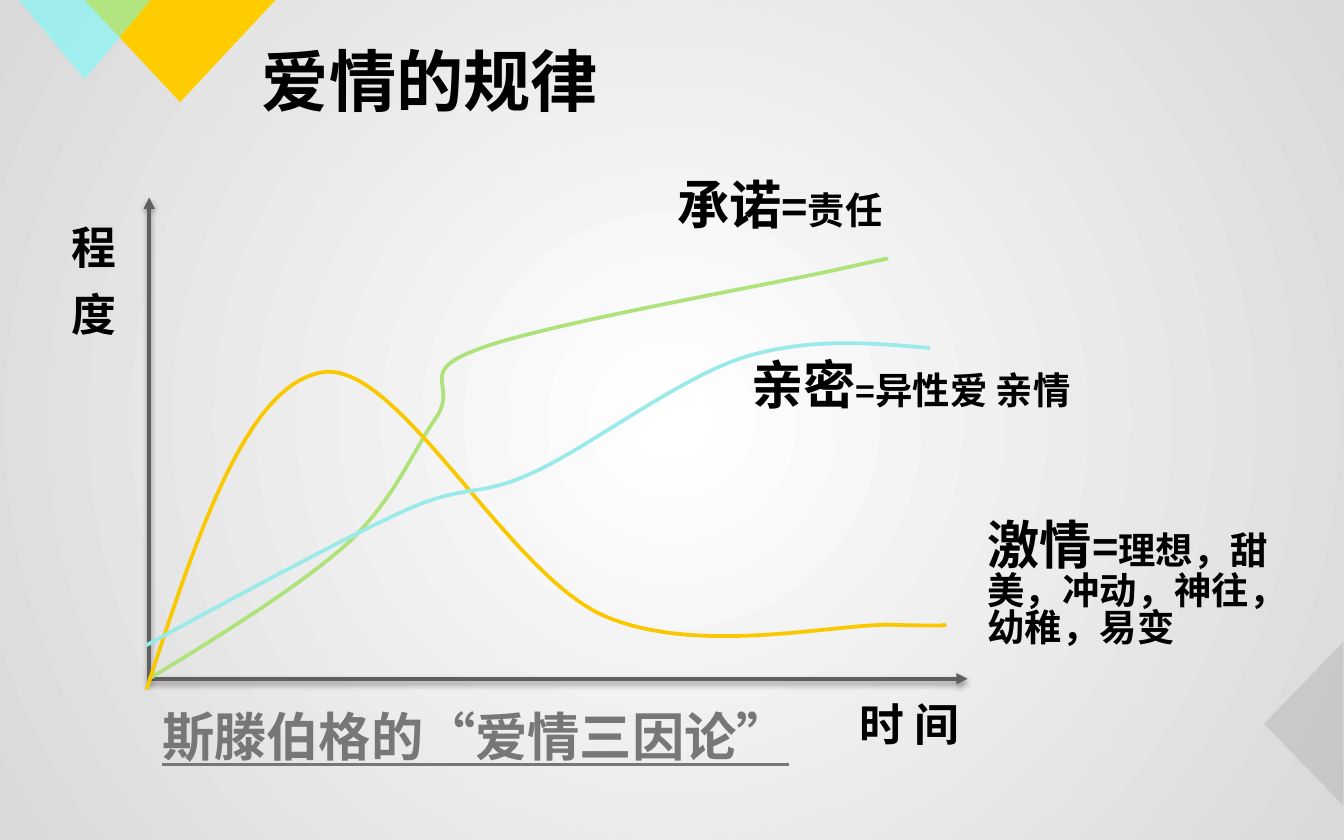
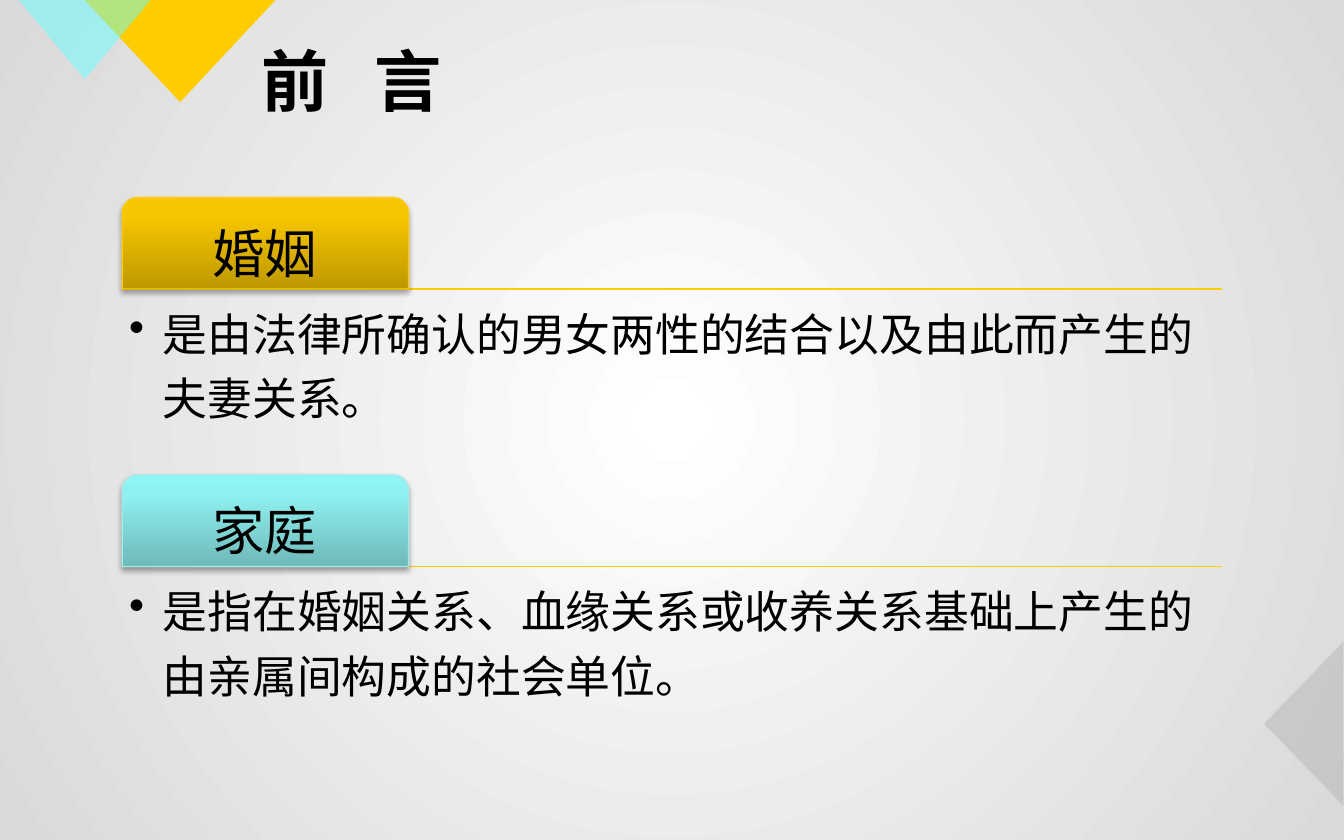
from lxml.etree import SubElement
from pptx import Presentation
from pptx.dml.color import RGBColor
from pptx.enum.shapes import MSO_CONNECTOR, MSO_SHAPE
from pptx.enum.text import MSO_ANCHOR, PP_ALIGN
from pptx.oxml import parse_xml
from pptx.oxml.ns import nsdecls, qn
from pptx.util import Inches, Pt

COLORS = {
    "ink": "000000",
    "muted": "777777",
    "axis": "5F5F5F",
    "gold": "FFCC00",
    "cyan": "66FFFF",
    "gray": "B7B7B7",
    "commitment": "AFE27A",
    "passion": "F9C800",
    "intimacy": "9BEAEA",
    "family_edge": "A0EDED",
}
BACKDROP = [(0, "FFFFFF"), (100, "D9D9D9")]
MARRIAGE_FILL = [(0, "BE9800"), (80, "F7C600"), (100, "F8C700")]
FAMILY_FILL = [(0, "6FB9B9"), (80, "90F1F1"), (100, "8FF4F4")]
RADIAL = ('<a:path {} path="circle"><a:fillToRect l="50000" t="50000" '
          'r="50000" b="50000"/></a:path>')
UPWARD = '<a:lin {} ang="16200000" scaled="0"/>'
HEAD_FONT = "Noto Sans CJK SC"
BODY_FONT = "Lato"
COLUMNS, ROWS = 100, 62.5
CELL = Inches(10) / COLUMNS
PLOT = (11.1, 14.7, 60.9, 35.8)
TITLE = (18.5, 3, 71.9, 5.9)
DEFINITIONS = (9.1, 14.7, 81.8, 41.3)

CURVES = [
    ("commitment", [(0, 35.8),
                    (5.6, 32.4), (11.2, 28.9), (14.8, 25.7),
                    (18.3, 22.4), (19.7, 18.7), (21.4, 16.3),
                    (23, 13.8), (19.7, 13), (24.7, 11.2),
                    (29.6, 9.4), (46, 6.5), (51, 5.4),
                    (55.9, 4.3), (55.1, 4.5), (54.3, 4.7)]),
    ("passion", [(-0.2, 36.6),
                 (3.5, 25.3), (7.2, 13.9), (12.9, 13),
                 (18.5, 12.1), (26.6, 27.9), (33.8, 31.1),
                 (40.9, 34.2), (51.3, 31.6), (55.5, 31.8),
                 (59.7, 31.9), (59.4, 31.8), (59, 31.8)]),
    ("intimacy", [(-0.2, 33.3),
                  (7, 29.4), (14.2, 25.5), (19, 23.3),
                  (23.7, 21.2), (24.3, 22.4), (28.5, 20.5),
                  (32.7, 18.6), (39.3, 13.5), (44.2, 11.9),
                  (49.1, 10.4), (53.6, 10.8), (58.1, 11.2)]),
]
LABELS = [
    ((61.4, 23.7, 24.8, 12.5),
     [[("激情", 28), ("=", 24), ("理想，甜美，冲动，神往，幼稚，易变", 20)]]),
    ((51.9, 37.3, 12.3, 5), [[("时 间", 24)]]),
    ((-6.8, 1.8, 5.8, 11.1), [[("程", 24)], [("度", 24)]]),
    ((43.8, 11.8, 28.9, 5.7), [[("亲密", 28), ("=", 18), ("异性爱 亲情", 20)]]),
    ((38.3, -1.6, 22.6, 5.7), [[("承诺", 28), ("=", 24), ("责任", 20)]]),
]
TERMS = [
    ("婚姻", "是由法律所确认的男女两性的结合以及由此而产生的夫妻关系。",
     MARRIAGE_FILL, "gold"),
    ("家庭", "是指在婚姻关系、血缘关系或收养关系基础上产生的由亲属间构成的社会单位。",
     FAMILY_FILL, "family_edge"),
]


def cells(*lengths):
    return [round(length * CELL) for length in lengths]


def within(box, left, top, width, height):
    return box[0] + left, box[1] + top, width, height


def rgb(name):
    return RGBColor.from_string(COLORS[name])


def set_gradient(fill, owner, stops, direction):
    fill.gradient()
    gradient = owner.find(".//" + qn("a:gradFill"))
    for child in list(gradient):
        gradient.remove(child)
    stop_list = SubElement(gradient, qn("a:gsLst"))
    for share, color in stops:
        stop = SubElement(stop_list, qn("a:gs"), pos=str(share * 1000))
        SubElement(stop, qn("a:srgbClr"), val=color)
    gradient.append(parse_xml(direction.format(nsdecls("a"))))


def set_effects(part, opacity=0, distance=0):
    effects = SubElement(part._element.spPr, qn("a:effectLst"))
    if opacity:
        cast = SubElement(effects, qn("a:outerShdw"), blurRad=str(Pt(3.1)),
                          dist=str(Pt(distance)), dir="5400000", rotWithShape="0")
        color = SubElement(cast, qn("a:srgbClr"), val=COLORS["ink"])
        SubElement(color, qn("a:alpha"), val=str(opacity * 1000))


def add_rule(slide, start, end, color, weight):
    rule = slide.shapes.add_connector(
        MSO_CONNECTOR.STRAIGHT, *cells(*start, *end))
    rule.line.color.rgb = rgb(color)
    rule.line.width = Pt(weight)
    return rule


def add_text(slide, box, paragraphs, font, color="ink", bold=False,
             underline=None, inset=None, anchor=MSO_ANCHOR.TOP,
             spacing=None, gap=0, align=None, bullet=False, tracking=0):
    frame = slide.shapes.add_textbox(*cells(*box)).text_frame
    frame.word_wrap = True
    frame.vertical_anchor = anchor
    if inset is not None:
        frame.margin_left = frame.margin_right = Inches(inset)
        frame.margin_top = frame.margin_bottom = Inches(inset)
    for index, pieces in enumerate(paragraphs):
        paragraph = frame.add_paragraph() if index else frame.paragraphs[0]
        paragraph.alignment = align
        if spacing:
            paragraph.line_spacing = spacing
        if index:
            paragraph.space_before = Pt(gap)
        if bullet:
            paragraph.level = 1
            properties = paragraph._p.get_or_add_pPr()
            properties.set("marL", str(Inches(0.25)))
            properties.set("indent", str(-Inches(0.25)))
            SubElement(properties, qn("a:buChar"), char="•")
        paragraph.font.name = font
        paragraph.font.bold = bold
        paragraph.font.underline = underline
        paragraph.font.color.rgb = rgb(color)
        SubElement(paragraph.font._rPr, qn("a:ea"), typeface=font)
        sizes = {size for _, size in pieces}
        if len(sizes) == 1:
            paragraph.font.size = Pt(sizes.pop())
        for text, size in pieces:
            run = paragraph.add_run()
            run.text = text
            if paragraph.font.size is None:
                run.font.size = Pt(size)
            if tracking:
                run.font._rPr.set("spc", str(tracking * 100))


def add_corner(slide, box, rotation, color, opacity=100):
    corner = slide.shapes.add_shape(MSO_SHAPE.ISOSCELES_TRIANGLE, *cells(*box))
    corner.rotation = rotation
    corner.fill.solid()
    corner.fill.fore_color.rgb = rgb(color)
    if opacity < 100:
        tint = corner._element.spPr.find(".//" + qn("a:srgbClr"))
        SubElement(tint, qn("a:alpha"), val=str(opacity * 1000))
    corner.line.fill.background()
    set_effects(corner)


def add_base(deck, title, tracking=0):
    slide = deck.slides.add_slide(deck.slide_layouts[6])
    set_gradient(slide.background.fill, slide._element, BACKDROP, RADIAL)
    add_corner(slide, (6.3, 0, 14.2, 7.6), 180, "gold")
    add_corner(slide, (1.4, 0, 9.8, 5.9), 180, "cyan", 50)
    add_corner(slide, (90.9, 50.9, 12.2, 5.9), 270, "gray", 50)
    add_text(slide, TITLE, [[(title, 36)]], HEAD_FONT, bold=True,
             anchor=MSO_ANCHOR.MIDDLE, tracking=tracking)
    return slide


def add_axes(slide, box):
    left, top, width, height = box
    bottom = top + height
    for start, end in [((left, bottom), (left + width, bottom)),
                       ((left, bottom + 0.3), (left, top))]:
        axis = add_rule(slide, start, end, "axis", 2)
        SubElement(axis.line._get_or_add_ln(), qn("a:tailEnd"), type="triangle")
        set_effects(axis, 38, 1.6)


def add_curve(slide, box, color, points):
    start, *rest = [cells(box[0] + x, box[1] + y) for x, y in points]
    builder = slide.shapes.build_freeform(*start)
    builder.add_line_segments(rest, close=False)
    curve = builder.convert_to_shape()
    segments = curve._element.spPr.findall(".//" + qn("a:lnTo"))
    for first in range(0, len(segments), 3):
        bend, *others = segments[first:first + 3]
        bezier = SubElement(bend.getparent(), qn("a:cubicBezTo"))
        for segment in (bend, *others):
            bezier.append(segment[0])
            segment.getparent().remove(segment)
    curve.fill.background()
    curve.line.color.rgb = rgb(color)
    curve.line.width = Pt(2)
    set_effects(curve)


def add_love_plot(slide, box):
    add_axes(slide, box)
    for color, points in CURVES:
        add_curve(slide, box, color, points)
    add_text(slide, within(box, 0, 38, 50.2, 5.7), [[("斯滕伯格的“爱情三因论”", 28)]],
             HEAD_FONT, "muted", bold=True, underline=True, spacing=0.83)
    for place, paragraphs in LABELS:
        add_text(slide, within(box, *place), paragraphs, HEAD_FONT,
                 bold=True, spacing=0.83, gap=12)


def add_definition(slide, box, term, meaning, stops, edge):
    left, top, width, height = box
    tab_width, tab_height = 21.3, 6.8
    floor = top + tab_height
    add_rule_line = add_rule(slide, (left, floor), (left + width, floor), "gold", 0.75)
    set_effects(add_rule_line)
    tab = slide.shapes.add_shape(MSO_SHAPE.ROUND_2_SAME_RECTANGLE,
                                 *cells(left, top, tab_width, tab_height))
    tab.adjustments[0] = 0.17
    tab.adjustments[1] = 0
    set_gradient(tab.fill, tab._element.spPr, stops, UPWARD)
    tab.line.color.rgb = rgb(edge)
    tab.line.width = Pt(0.75)
    set_effects(tab, 35, 1.8)
    add_text(slide, within(box, 0.3, 0.4, tab_width - 0.7, tab_height - 0.4),
             [[(term, 28)]], BODY_FONT, inset=0.06, anchor=MSO_ANCHOR.MIDDLE,
             spacing=1.2, align=PP_ALIGN.CENTER)
    add_text(slide, within(box, 0, tab_height, width, height - tab_height),
             [[(meaning, 24)]], BODY_FONT, inset=0.05, spacing=1.2, bullet=True)


def add_definitions(slide, box):
    left, top, width, height = box
    pitch = height / len(TERMS)
    for index, term in enumerate(TERMS):
        add_definition(slide, (left, top + index * pitch, width, pitch), *term)


def main():
    deck = Presentation()
    deck.slide_width, deck.slide_height = cells(COLUMNS, ROWS)
    add_love_plot(add_base(deck, "爱情的规律"), PLOT)
    add_definitions(add_base(deck, "前 言", tracking=8), DEFINITIONS)
    deck.save("out.pptx")


if __name__ == "__main__":
    main()
